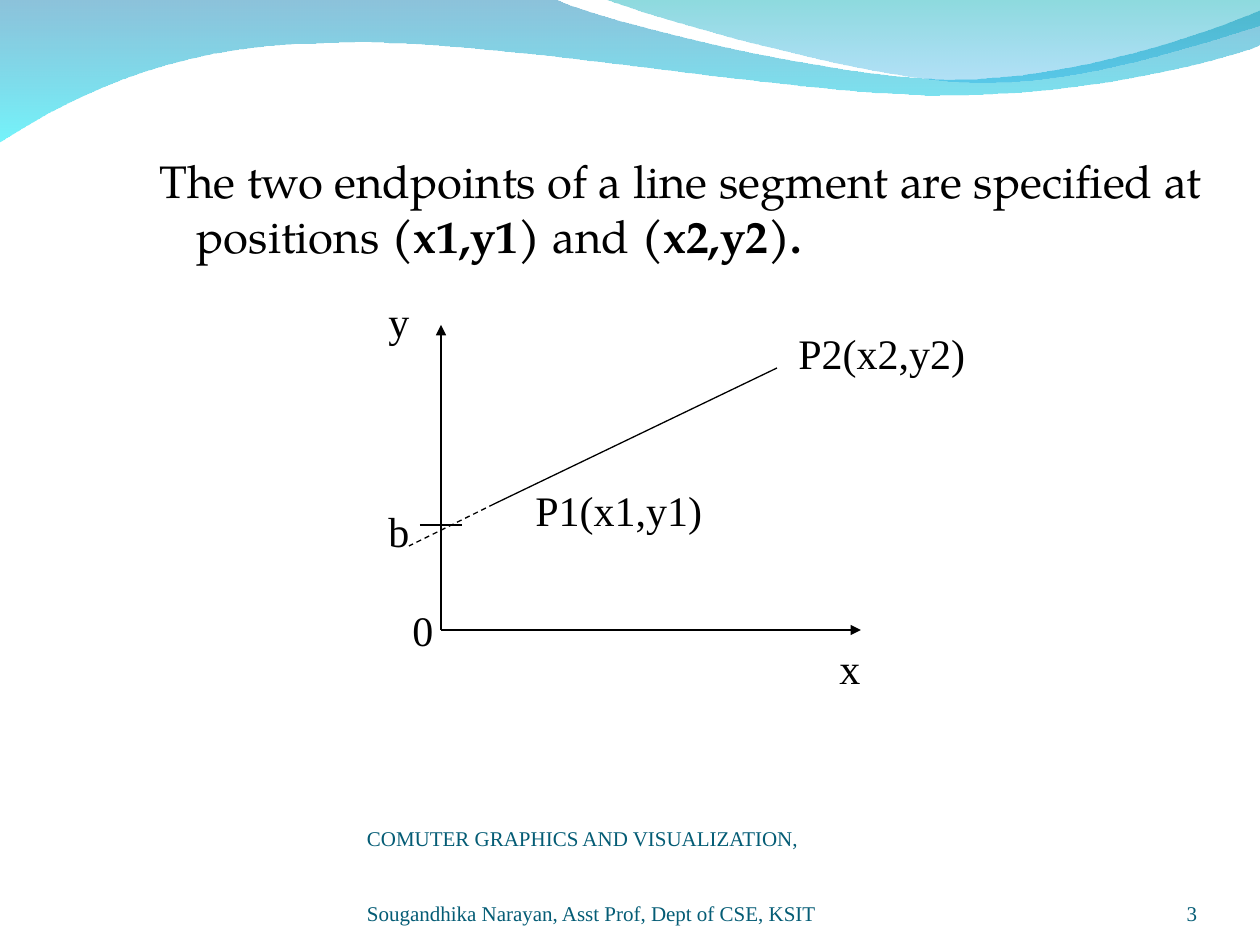
from lxml import etree
from pptx import Presentation
from pptx import util as u
from pptx.dml.color import RGBColor
from pptx.enum import dml, shapes, text
from pptx.oxml.ns import qn

PX = 914400 / 126
COLORS = {"ink": "000000", "footer": "045C75", "sky": "0079AF",
          "aqua": "00EBF8", "teal": "00ADB6", "blue": "009BE5"}
SERIF, BODY = "Times New Roman", "TeX Gyre Pagella"

# Content: (text, bold) runs, labels with boxes, lines with end points
STATEMENT = [("The two endpoints of a line segment are specified at positions ", False),
             ("(x1,y1)", True), (" and ", False), ("(x2,y2).", True)]
LABELS = [("x", 827, 636, 45), ("y", 376, 289, 45), ("P1(x1,y1)", 523, 478, 192),
          ("P2(x2,y2)", 786, 321, 192), ("b", 376, 499, 45), ("0", 400, 598, 45)]
FOOTER = ["COMUTER GRAPHICS AND VISUALIZATION,",
          "Sougandhika Narayan, Asst Prof, Dept of CSE, KSIT"]
PAGE = "3"
ORIGIN, P1 = (441, 630), (494, 504)
LINES = [((441, 325), ORIGIN, "headEnd"), (ORIGIN, (861, 630), "tailEnd"),
         (P1, (777, 368), "solid"), (P1, (409, 546), "dash"),
         ((420, 525), (462, 525), "solid")]
# Waves: a segment of one point is a line, of three points a Bezier curve
WAVES = [
    ((0, -1), [[(554, -1)], [(600, 21), (837, 79), (955, 79)],
               [(1075, 79), (1207, 33), (1260, 11)], [(1261, 45)],
               [(1239, 55), (1096, 96), (940, 95)], [(784, 95), (481, 35), (324, 43)],
               [(163, 44), (58, 105), (-1, 142)], [(0, -1)]],
     [("sky", 45), ("aqua", 55)]),
    ((604, -1), [[(641, 14), (859, 78), (969, 82)], [(1079, 87), (1211, 40), (1260, 26)],
                 [(1260, 0)], [(604, -1)]],
     [("teal", 45), ("blue", 30)]),
]


def px(*values):
    return [u.Emu(round(v * PX)) for v in values]


def rgb(name):
    return RGBColor.from_string(COLORS[name])


def write(p, content, size=24, font=SERIF, color="ink", bold=False, align=None, before=0):
    p.alignment = align
    p.space_before = u.Pt(before)
    r = p.add_run()
    r.text = content
    r.font.size, r.font.name, r.font.bold = u.Pt(size), font, bold
    r.font.color.rgb = rgb(color)


def add_box(s, box, wrap=True, inset=True, anchor=text.MSO_ANCHOR.TOP):
    tf = s.shapes.add_textbox(*px(*box)).text_frame
    tf.word_wrap, tf.vertical_anchor = wrap, anchor
    if not inset:
        tf.margin_left = tf.margin_right = tf.margin_top = tf.margin_bottom = 0
    return tf


def add_wave(s, start, segments, stops):
    fb = s.shapes.build_freeform(*start, scale=PX)
    fb.add_line_segments([pt for seg in segments for pt in seg], close=True)
    sp = fb.convert_to_shape()
    # Join each group of three points into one curve
    lines = iter(list(sp._element.iter(qn("a:lnTo"))))
    for seg in segments:
        first, *others = [next(lines) for _ in seg]
        if others:
            first.tag = qn("a:cubicBezTo")
        for other in others:
            first.append(other[0])
            other.getparent().remove(other)
    sp.shadow.inherit = False
    sp.line.fill.background()
    sp.fill.gradient()
    sp.fill.gradient_angle = 270
    for stop, (name, _) in zip(sp.fill.gradient_stops, stops):
        stop.color.rgb = rgb(name)
    for clr, (_, alpha) in zip(sp._element.spPr.iter(qn("a:srgbClr")), stops):
        etree.SubElement(clr, qn("a:alpha"), val=str(alpha * 1000))


def add_line(s, start, end, style):
    c = s.shapes.add_connector(shapes.MSO_CONNECTOR.STRAIGHT, *px(*start, *end))
    c.line.width = u.Pt(0.75)
    c.line.color.rgb = rgb("ink")
    if style == "dash":
        c.line.dash_style = dml.MSO_LINE.DASH
    elif style != "solid":
        ln = c._element.spPr.find(qn("a:ln"))
        etree.SubElement(ln, qn("a:" + style), type="triangle")
    etree.SubElement(c._element.spPr, qn("a:effectLst"))


prs = Presentation()
prs.slide_width, prs.slide_height = px(1260, 945)
s = prs.slides.add_slide(prs.slide_layouts[1])
title, body = s.placeholders
title._element.getparent().remove(title._element)

# Wave header
for wave in WAVES:
    add_wave(s, *wave)

# Statement with hanging indent
body.left, body.top, body.width, body.height = px(147, 147, 1071, 756)
p = body.text_frame.paragraphs[0]
for content, bold in STATEMENT:
    write(p, content, size=26, font=BODY, bold=bold, before=6.5)
pPr = p._p.get_or_add_pPr()
indent = px(37)[0]
pPr.set("marL", str(indent))
pPr.set("indent", str(-indent))
etree.SubElement(pPr, qn("a:buNone"))

# Line diagram
for line in LINES:
    add_line(s, *line)
for content, x, y, w in LABELS:
    write(add_box(s, (x, y, w, 63), wrap=False).paragraphs[0], content)

# Footer in one paragraph with wide line spacing, and page number
p = add_box(s, (367, 876, 462, 50), inset=False,
            anchor=text.MSO_ANCHOR.BOTTOM).paragraphs[0]
write(p, FOOTER[0], size=12, color="footer")
p.add_line_break()
write(p, FOOTER[1], size=12, color="footer")
p.line_spacing = u.Pt(43)
p = add_box(s, (1092, 876, 105, 50), inset=False,
            anchor=text.MSO_ANCHOR.BOTTOM).paragraphs[0]
write(p, PAGE, size=12, color="footer", align=text.PP_ALIGN.RIGHT)

prs.save("out.pptx")
